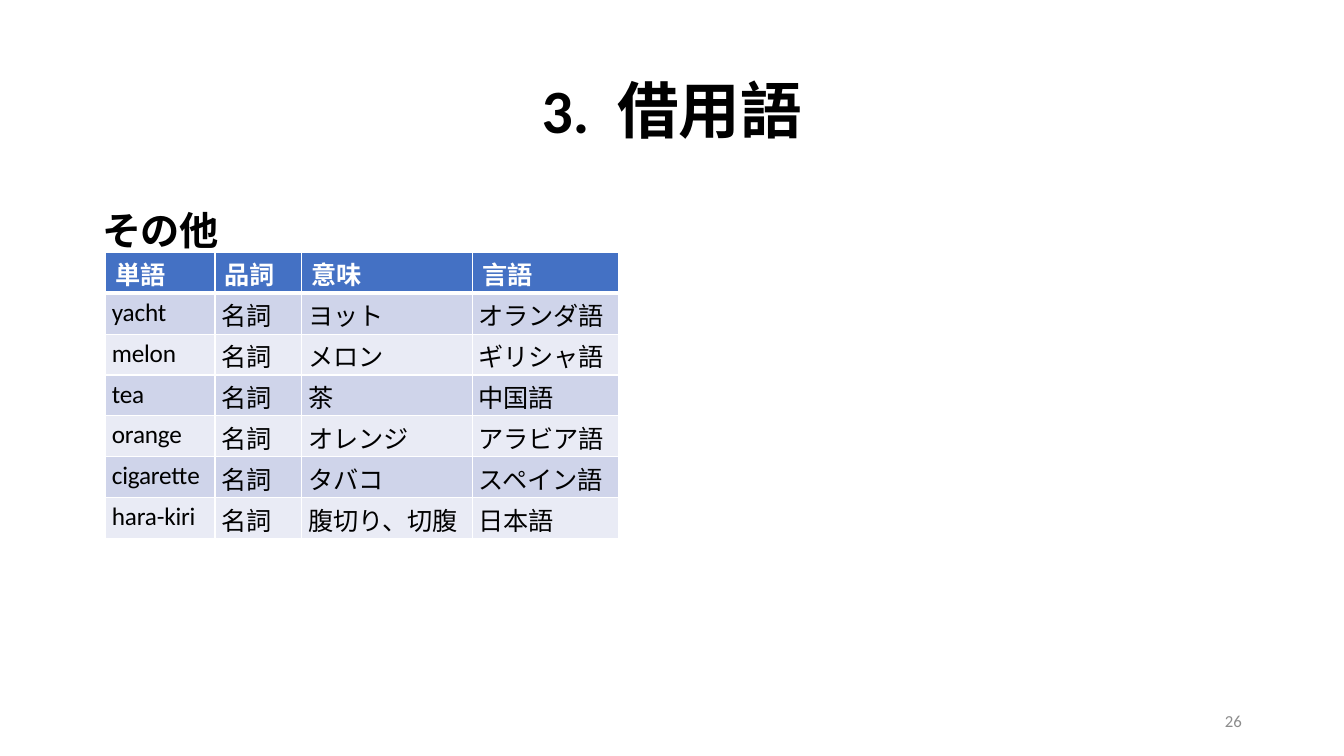
from lxml import etree
from pptx import Presentation
from pptx.dml.color import RGBColor
from pptx.enum import text as t
from pptx.oxml import ns
from pptx.util import Cm, Pt

# Content
TITLE = ("3.", " ", "借用語")
SUBTITLE = "その他"
PAGE_NUMBER = "26"
ROWS = [
    ("単語", "品詞", "意味", "言語"),
    ("yacht", "名詞", "ヨット", "オランダ語"),
    ("melon", "名詞", "メロン", "ギリシャ語"),
    ("tea", "名詞", "茶", "中国語"),
    ("orange", "名詞", "オレンジ", "アラビア語"),
    ("cigarette", "名詞", "タバコ", "スペイン語"),
    ("hara-kiri", "名詞", "腹切り、切腹", "日本語"),
]

# Design
LATIN, JAPANESE = "Calibri", "Noto Sans CJK JP"
BLACK, WHITE, GREY = "000000", "FFFFFF", "8C8C8C"
HEADER_FILL, BAND_FILLS = "4471C4", ("CFD4EA", "E9EBF5")
COLUMN_WIDTHS = (2.77, 2.18, 4.3, 3.69)
ROW_HEIGHT = 1.03
LEFT, WIDTH = 2.33, 29.21


def color(value):
    return RGBColor.from_string(value)


def add_span(para, content, fill, spacing=0, **font):
    span = para.add_run()
    span.text = content
    for name, value in font.items():
        setattr(span.font, name, value)
    span.font.color.rgb = color(fill)
    properties = span.font._element
    if spacing:
        properties.set("spc", str(round(spacing * 100)))
    east_asian = etree.Element(ns.qn("a:ea"), typeface=JAPANESE)
    properties.find(ns.qn("a:latin")).addnext(east_asian)


def add_borders(cell, row):
    widths = {"L": 1, "R": 1, "T": 3 if row == 1 else 1, "B": 3 if row == 0 else 1}
    properties = cell._tc.get_or_add_tcPr()
    for side, width in widths.items():
        line = etree.SubElement(properties, ns.qn(f"a:ln{side}"), w=str(Pt(width)))
        fill = etree.SubElement(line, ns.qn("a:solidFill"))
        etree.SubElement(fill, ns.qn("a:srgbClr"), val=WHITE)


def add_box(page, left, top, width, height, anchor):
    box = page.shapes.add_textbox(Cm(left), Cm(top), Cm(width), Cm(height))
    box.text_frame.word_wrap = True
    box.text_frame.vertical_anchor = anchor
    return box.text_frame.paragraphs[0]


def add_title(page):
    title = page.shapes.title
    place = {"left": LEFT, "top": 1.02, "width": WIDTH, "height": 3.68}
    for name, value in place.items():
        setattr(title, name, Cm(value))
    title.text_frame.auto_size = t.MSO_AUTO_SIZE.NONE
    title.text_frame.vertical_anchor = t.MSO_ANCHOR.MIDDLE
    para = title.text_frame.paragraphs[0]
    para.alignment = t.PP_ALIGN.CENTER
    para.line_spacing = 0.9
    for part in TITLE:
        # The gap after the number is widened by character spacing
        add_span(para, part, BLACK, 10 if part == " " else 0,
                 name=LATIN, size=Pt(44), bold=True)


def add_word_table(page):
    table = page.shapes.add_table(
        len(ROWS), len(COLUMN_WIDTHS), Cm(2.65), Cm(6.36),
        Cm(sum(COLUMN_WIDTHS)), Cm(ROW_HEIGHT * len(ROWS))).table
    for column, width in zip(table.columns, COLUMN_WIDTHS):
        column.width = Cm(width)
    for r, words in enumerate(ROWS):
        table.rows[r].height = Cm(ROW_HEIGHT)
        header = r == 0
        for c, word in enumerate(words):
            cell = table.cell(r, c)
            latin = word.isascii()
            margins = {"left": 0.25 if header else 0.17,
                       "top": 0.1 if latin else 0.08, "right": 0, "bottom": 0}
            for side, value in margins.items():
                setattr(cell, f"margin_{side}", Cm(value))
            add_borders(cell, r)
            cell.fill.solid()
            cell.fill.fore_color.rgb = color(
                HEADER_FILL if header else BAND_FILLS[(r - 1) % 2])
            add_span(cell.text_frame.paragraphs[0], word,
                     WHITE if header else BLACK, -0.15,
                     name=LATIN if latin else JAPANESE, size=Pt(18), bold=header)


def main():
    deck = Presentation()
    deck.slide_width, deck.slide_height = Cm(33.87), Cm(19.05)
    page = deck.slides.add_slide(deck.slide_layouts[5])
    add_title(page)

    # Page number
    para = add_box(page, 23.93, 17.65, 7.62, 1.02, t.MSO_ANCHOR.MIDDLE)
    para.alignment = t.PP_ALIGN.RIGHT
    add_span(para, PAGE_NUMBER, GREY, name=LATIN, size=Pt(12))

    # Subtitle and table
    para = add_box(page, LEFT, 5.08, WIDTH, 12.09, t.MSO_ANCHOR.TOP)
    add_span(para, SUBTITLE, BLACK, -0.4, name=JAPANESE, size=Pt(28), bold=True)
    add_word_table(page)
    deck.save("out.pptx")


if __name__ == "__main__":
    main()
